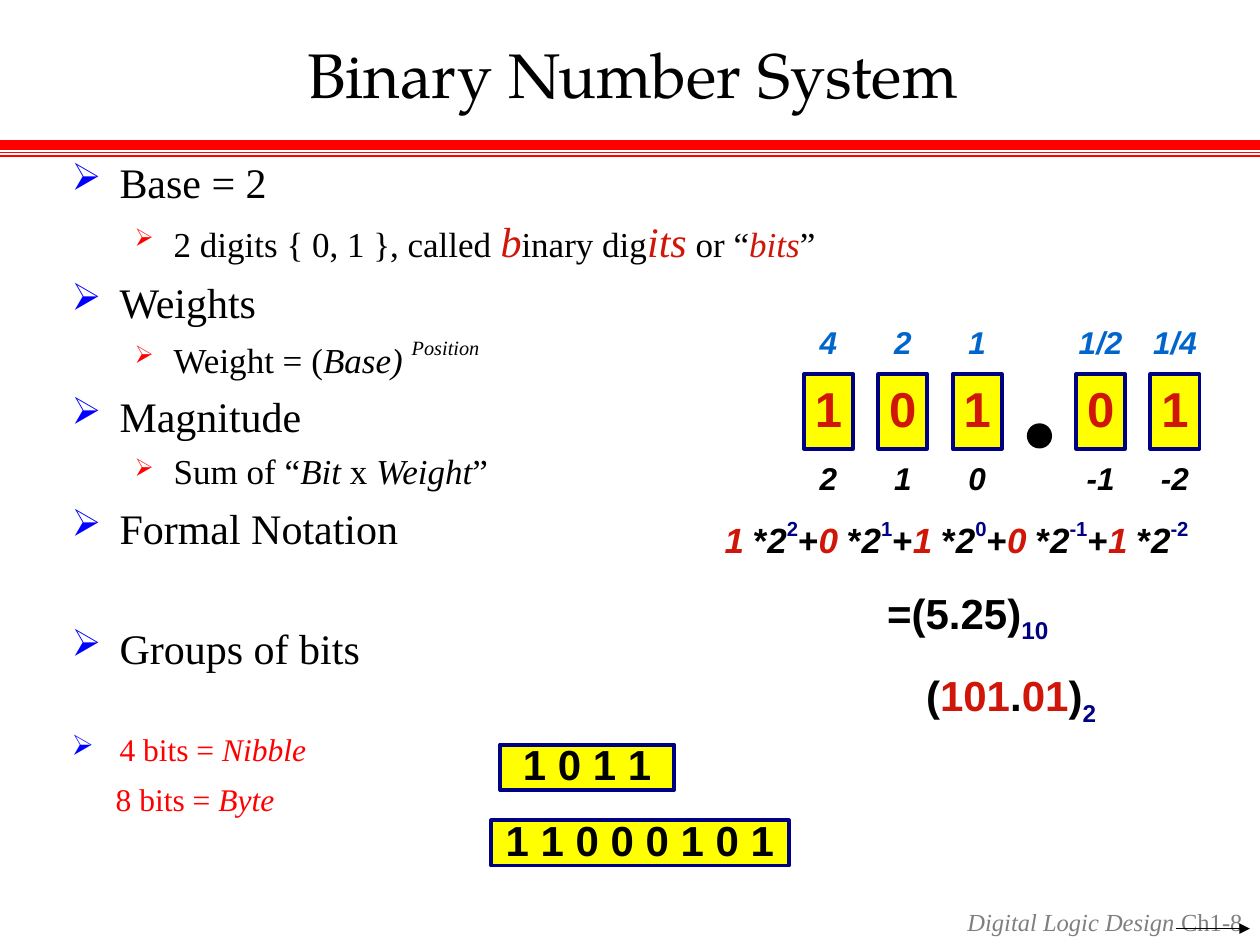
"""Builds the Binary Number System slide."""
from lxml import etree
from pptx import Presentation
from pptx import util as u
from pptx.dml.color import RGBColor
from pptx.enum import shapes, text
from pptx.oxml import ns

RED, DIGIT, NAVY, BLUE = "FF0000", "D01608", "000082", "0066CC"
YELLOW, BLACK, GRAY = "FFFF00", "000000", "7F7F7F"
SERIF, SANS, TITLE = "Times New Roman", "Arial", "TeX Gyre Pagella"
CENTER, MIDDLE = text.PP_ALIGN.CENTER, text.MSO_ANCHOR.MIDDLE


def color(value):
    return RGBColor.from_string(value)


def child(parent, tag, **attributes):
    return etree.SubElement(parent, ns.qn(tag), **attributes)


def span(para, words, size=24, font=SERIF, fill=BLACK, bold=False, italic=False, base=0):
    run = para.add_run()
    run.text = words
    run.font.size, run.font.name = u.Pt(size), font
    run.font.bold, run.font.italic = bold, italic
    run.font.color.rgb = color(fill)
    if base:
        run.font._element.set("baseline", str(base * 1000))


class Page:
    def __init__(self, deck):
        self.slide = deck.slides.add_slide(deck.slide_layouts[5])
        self.items = self.slide.shapes

    def frame(self, box, inset=(0, 0), anchor=text.MSO_ANCHOR.TOP):
        frame = box.text_frame
        frame.word_wrap, frame.vertical_anchor = True, anchor
        frame.auto_size = text.MSO_AUTO_SIZE.NONE
        frame.margin_left = frame.margin_right = u.Inches(inset[0])
        frame.margin_top = frame.margin_bottom = u.Inches(inset[1])
        return frame

    def title(self, words, place):
        box = self.items.title
        box.left, box.top, box.width, box.height = map(u.Inches, place)
        para = self.frame(box, anchor=MIDDLE).paragraphs[0]
        para.alignment = CENTER
        span(para, words, size=36, font=TITLE)

    def text_box(self, place, inset=(0, 0)):
        return self.frame(self.items.add_textbox(*map(u.Inches, place)), inset)

    def line_of_text(self, para, spans, align=None, spacing=None, before=0, indent=0, hang=0):
        para.alignment, para.line_spacing = align, spacing
        para.space_before = u.Pt(before)
        props = para._p.get_or_add_pPr()
        props.set("marL", str(u.Inches(indent)))
        props.set("indent", str(-u.Inches(hang)))
        for words, style in spans:
            span(para, words, **style)

    def bullet(self, para, fill, percent):
        props = para._p.get_or_add_pPr()
        child(child(props, "a:buClr"), "a:srgbClr", val=fill)
        child(props, "a:buSzPct", val=str(percent * 1000))
        child(props, "a:buChar", char="➢")

    def label(self, words, place, **style):
        para = self.text_box(place).paragraphs[0]
        self.line_of_text(para, [(words, style)], CENTER, 0.9)

    def shape(self, kind, place, fill, edge=None):
        shape = self.items.add_shape(kind, *map(u.Inches, place))
        shape.shadow.inherit = False
        shape.fill.solid()
        shape.fill.fore_color.rgb = color(fill)
        if edge:
            shape.line.color.rgb, shape.line.width = color(edge), u.Pt(2.25)
        else:
            shape.line.fill.background()
        return shape

    def cell(self, words, place, **style):
        shape = self.shape(shapes.MSO_SHAPE.RECTANGLE, place, YELLOW, NAVY)
        para = self.frame(shape, anchor=MIDDLE).paragraphs[0]
        self.line_of_text(para, [(words, style)], CENTER, 0.9)

    def rule(self, left, right, top, fill, width, arrow=False):
        ends = map(u.Inches, (left, top, right, top))
        line = self.items.add_connector(shapes.MSO_CONNECTOR.STRAIGHT, *ends)
        line.line.color.rgb, line.line.width = color(fill), u.Pt(width)
        props = line._element.spPr
        if arrow:
            child(props.find(ns.qn("a:ln")), "a:tailEnd", type="triangle")
        child(props, "a:effectLst")


def add_outline(page):
    small, red = dict(size=20), dict(size=18, fill=RED)
    slanted = dict(size=20, italic=True)
    accent = dict(fill=DIGIT, italic=True)
    rows = [
        (0, 0, [("Base = 2", {})]),
        (1, 5, [("2 digits { 0, 1 }, called ", small), ("b", accent),
                ("inary dig", small), ("its", accent), (" or “", small),
                ("bits", dict(accent, size=20)), ("”", small)]),
        (0, 6, [("Weights", {})]),
        (1, 5, [("Weight = (", small), ("Base) ", slanted),
                ("Position", dict(slanted, base=50))]),
        (0, 6, [("Magnitude", {})]),
        (1, 5, [("Sum of “", small), ("Bit", slanted), (" x ", small),
                ("Weight", slanted), ("”", small)]),
        (0, 6, [("Formal Notation", {})]),
        (0, 40, [("Groups of bits", {})]),
        (0, 32.5, [("4 bits = ", red), ("Nibble", dict(red, italic=True))]),
        (None, 7, [("8 bits = ", red), ("Byte", dict(red, italic=True))]),
    ]
    levels = {0: (0.38, 0.38, "0000FF", 90), 1: (0.81, 0.31, RED, 70)}
    frame = page.text_box((0.47, 1.19, 9.45, 5.93), (0.1, 0.05))
    for number, (level, before, spans) in enumerate(rows):
        para = frame.add_paragraph() if number else frame.paragraphs[0]
        if level is None:
            page.line_of_text(para, spans, before=before, indent=0.35)
            continue
        indent, hang, fill, percent = levels[level]
        para.level = level
        page.line_of_text(para, spans, before=before, indent=indent, hang=hang)
        page.bullet(para, fill, percent)


def add_digits(page, digits):
    label = dict(size=18, font=SANS, bold=True, italic=True)
    for column, (digit, weight, position) in enumerate(digits):
        left = 6.38 + 0.59 * column + (0.39 if column > 2 else 0)
        page.cell(digit, (left, 2.97, 0.39, 0.59), size=28, font=SANS, fill=DIGIT, bold=True)
        page.label(weight, (left - 0.1, 2.6, 0.59, 0.27), fill=BLUE, **label)
        page.label(position, (left - 0.1, 3.68, 0.59, 0.27), **label)
    page.shape(shapes.MSO_SHAPE.OVAL, (8.15, 3.36, 0.2, 0.2), BLACK)


def add_equation(page, digits):
    strong = dict(font=SANS, bold=True)
    plain = dict(strong, size=20)
    slanted = dict(plain, italic=True)
    power = dict(plain, fill=NAVY, base=50)
    below = dict(strong, fill=NAVY, base=-25)
    red = dict(strong, fill=DIGIT)
    terms = []
    for digit, _, position in digits:
        terms += [("+", plain)] if terms else []
        terms += [(digit + " ", dict(slanted, fill=DIGIT)), ("*", plain),
                  ("2", slanted), (position, power)]
    frame = page.text_box((5.75, 4.14, 3.98, 0.94))
    page.line_of_text(frame.paragraphs[0], terms, spacing=0.9)
    page.line_of_text(frame.add_paragraph(), [("=(5.25)", strong), ("10", below)],
                      spacing=0.9, before=15, indent=1.29)
    binary = [("(", strong), ("101", red), (".", strong), ("01", red),
              (")", strong), ("2", below)]
    para = page.text_box((7.16, 5.32, 2.16, 0.41)).paragraphs[0]
    page.line_of_text(para, binary, spacing=0.9, indent=0.19)


def main():
    deck = Presentation()
    deck.slide_width, deck.slide_height = u.Inches(10), u.Inches(7.5)
    page = Page(deck)
    for top, width in ((1.15, 6), (1.21, 1), (1.24, 1)):
        page.rule(0, 10, top, RED, width)
    page.title("Binary Number System", (0.33, 0.25, 9.38, 0.67))
    add_outline(page)
    digits = [("1", "4", "2"), ("0", "2", "1"), ("1", "1", "0"),
              ("0", "1/2", "-1"), ("1", "1/4", "-2")]
    add_digits(page, digits)
    add_equation(page, digits)
    for bits, place in (("1 0 1 1", (3.97, 5.91, 1.38, 0.36)),
                        ("1 1 0 0 0 1 0 1", (3.9, 6.51, 2.36, 0.36))):
        page.cell(bits, place, font=SANS, bold=True)
    gray = dict(size=14, fill=GRAY)
    slanted = dict(gray, italic=True)
    footer = [("Digital Logic Design ", slanted), ("Ch1", gray), ("-", slanted), ("8", gray)]
    para = page.text_box((7.45, 7.15, 2.51, 0.34), (0.1, 0.05)).paragraphs[0]
    page.line_of_text(para, footer, text.PP_ALIGN.RIGHT)
    page.rule(9.33, 9.92, 7.37, BLACK, 0.75, arrow=True)
    deck.save("out.pptx")


if __name__ == "__main__":
    main()
